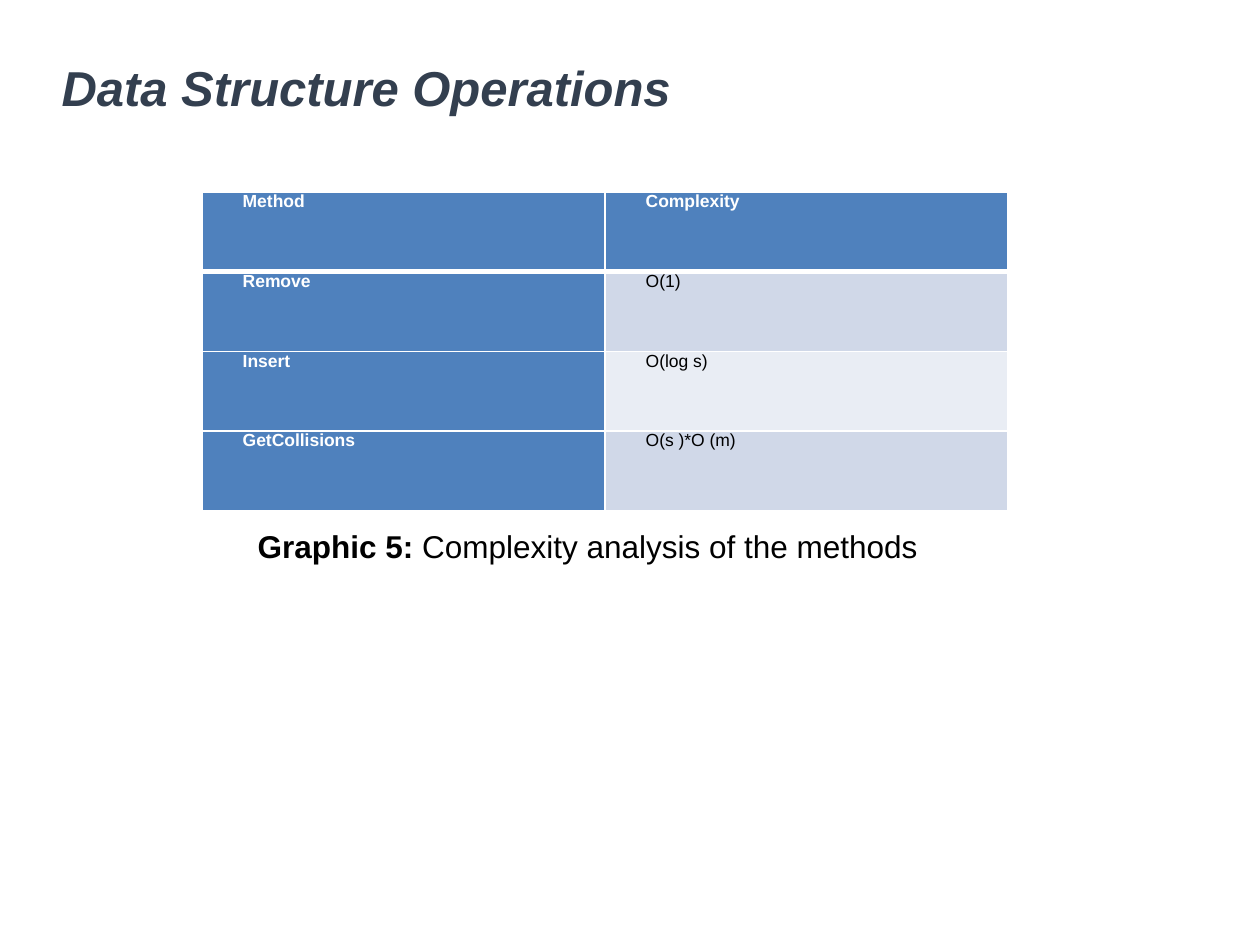
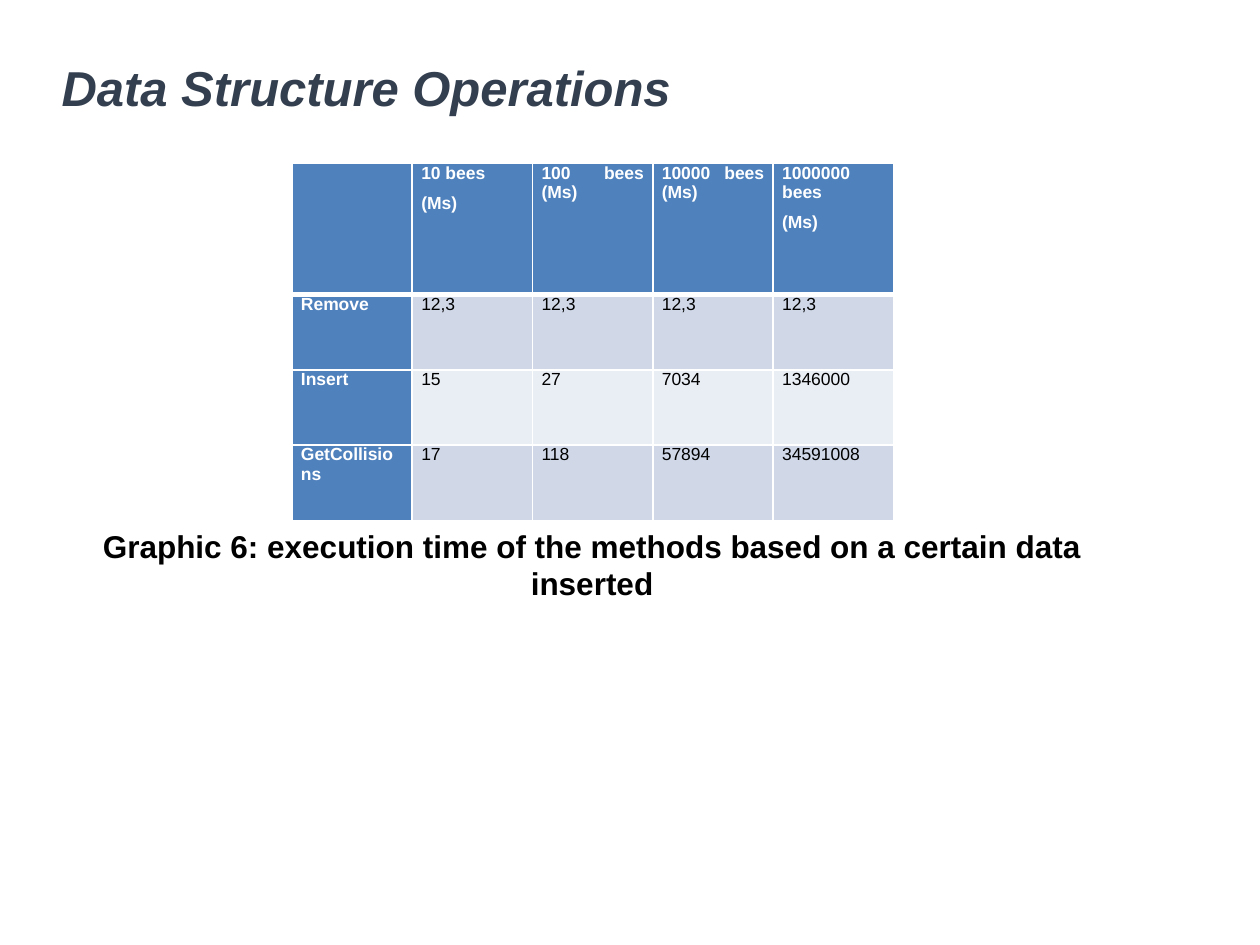
"""Build two slides on the cost of data structure operations."""
import pptx
import pptx.dml.color
import pptx.enum.text
import pptx.oxml
import pptx.oxml.ns
import pptx.util
from lxml import etree

Pt = pptx.util.Pt
RGB = pptx.dml.color.RGBColor
ALIGN = pptx.enum.text.PP_ALIGN
ANCHOR = pptx.enum.text.MSO_ANCHOR
FIT = pptx.enum.text.MSO_AUTO_SIZE

WHITE = RGB(0xFF, 0xFF, 0xFF)
BLACK = RGB(0, 0, 0)
SLATE = RGB(0x33, 0x3F, 0x4F)
BLUE = RGB(0x4F, 0x81, 0xBD)
BANDS = (RGB(0xD0, 0xD8, 0xE8), RGB(0xE9, 0xED, 0xF4))

TITLE = "Data Structure Operations"
TITLE_BOX = (28, 27.4, 620.6, 48.2)
NOTE_BOX = (46, 297.4, 584.6, 38)
HEAD_FONT = {"size": Pt(28), "bold": True, "italic": True}
FRAME = {"word_wrap": True, "auto_size": FIT.NONE,
         "margin_left": Pt(7.2), "margin_right": Pt(7.2),
         "margin_top": Pt(3.6), "margin_bottom": Pt(3.6)}
CELL = {"margin_left": Pt(5.2), "margin_right": Pt(5.2),
        "margin_top": 0, "margin_bottom": 0}

SLIDES = [
    {"note": [("Graphic 5: ", True),
              ("Complexity analysis of the methods ", False)],
     "box": (115.5, 109.8, 460.6), "heads": 45.5, "row": 45.5, "indent": 18,
     "rows": [("Method ", "Complexity"),
              ("Remove", "O(1)"),
              ("Insert", "O(log s)"),
              ("GetCollisions", "O(s )*O (m)")]},
    {"note": [("Graphic 6: execution time of the methods based on "
               "a certain data inserted", True)],
     "box": (166.8, 93.4, 343.8), "heads": 75, "row": 43, "indent": 0,
     "rows": [("", "10 bees\n(Ms)", "100 bees (Ms)", "10000 bees (Ms)",
               "1000000 bees\n(Ms)"),
              ("Remove", "12,3", "12,3", "12,3", "12,3"),
              ("Insert", "15", "27", "7034", "1346000"),
              ("GetCollisions", "17", "118", "57894", "34591008")]},
]


def apply(item, values):
    for name, value in values.items():
        setattr(item, name, value)


def write(para, text, color, **style):
    run = para.add_run()
    run.text = text
    run.font.color.rgb = color
    apply(run.font, {"name": "Arial", **style})


def edge(cell, side, width):
    props = cell._tc.get_or_add_tcPr()
    line = etree.SubElement(props, pptx.oxml.ns.qn("a:ln" + side))
    line.set("w", str(Pt(width)))
    fill = etree.SubElement(line, pptx.oxml.ns.qn("a:solidFill"))
    etree.SubElement(fill, pptx.oxml.ns.qn("a:srgbClr")).set("val", str(WHITE))


def add_head(slide):
    head = slide.shapes.title
    apply(head, dict(zip(("left", "top", "width", "height"),
                         map(Pt, TITLE_BOX))))
    apply(head.text_frame, {**FRAME, "vertical_anchor": ANCHOR.MIDDLE})
    para = head.text_frame.paragraphs[0]
    apply(para, {"alignment": ALIGN.LEFT, "line_spacing": 0.9})
    write(para, TITLE, SLATE, **HEAD_FONT)


def add_note(slide, parts):
    frame = slide.shapes.add_textbox(*map(Pt, NOTE_BOX)).text_frame
    apply(frame, FRAME)
    para = frame.paragraphs[0]
    para.alignment = ALIGN.CENTER
    for text, bold in parts:
        write(para, text, BLACK, size=Pt(18), bold=bold)


def fill_cell(cell, text, row, col, indent):
    label = row == 0 or col == 0
    for side in "LRTB":
        thick = (row, side) in ((0, "B"), (1, "T"))
        edge(cell, side, 3 if thick else 1)
    cell.fill.solid()
    cell.fill.fore_color.rgb = BLUE if label else BANDS[(row - 1) % 2]
    apply(cell, CELL)
    frame = cell.text_frame
    for index, line in enumerate(text.split("\n")):
        para = frame.add_paragraph() if index else frame.paragraphs[0]
        apply(para, {"alignment": ALIGN.JUSTIFY, "space_after": Pt(6)})
        para._p.get_or_add_pPr().set("indent", str(Pt(indent)))
        para.font.size = Pt(10)
        if line:
            write(para, line, WHITE if label else BLACK,
                  size=Pt(10), bold=label)


def add_grid(slide, data):
    rows = data["rows"]
    left, top, width = data["box"]
    count = len(rows[0])
    tall = data["heads"] + data["row"] * (len(rows) - 1)
    table = slide.shapes.add_table(
        len(rows), count, *map(Pt, (left, top, width, tall))).table
    apply(table, {"first_row": False, "horz_banding": False})
    for column in table.columns:
        column.width = Pt(width / count)
    for r, texts in enumerate(rows):
        table.rows[r].height = Pt(data["row"] if r else data["heads"])
        for c, text in enumerate(texts):
            fill_cell(table.cell(r, c), text, r, c, data["indent"])


deck = pptx.Presentation()
apply(deck, {"slide_width": Pt(720), "slide_height": Pt(540)})
for data in SLIDES:
    slide = deck.slides.add_slide(deck.slide_layouts[5])
    add_head(slide)
    add_note(slide, data["note"])
    add_grid(slide, data)
deck.save("out.pptx")
